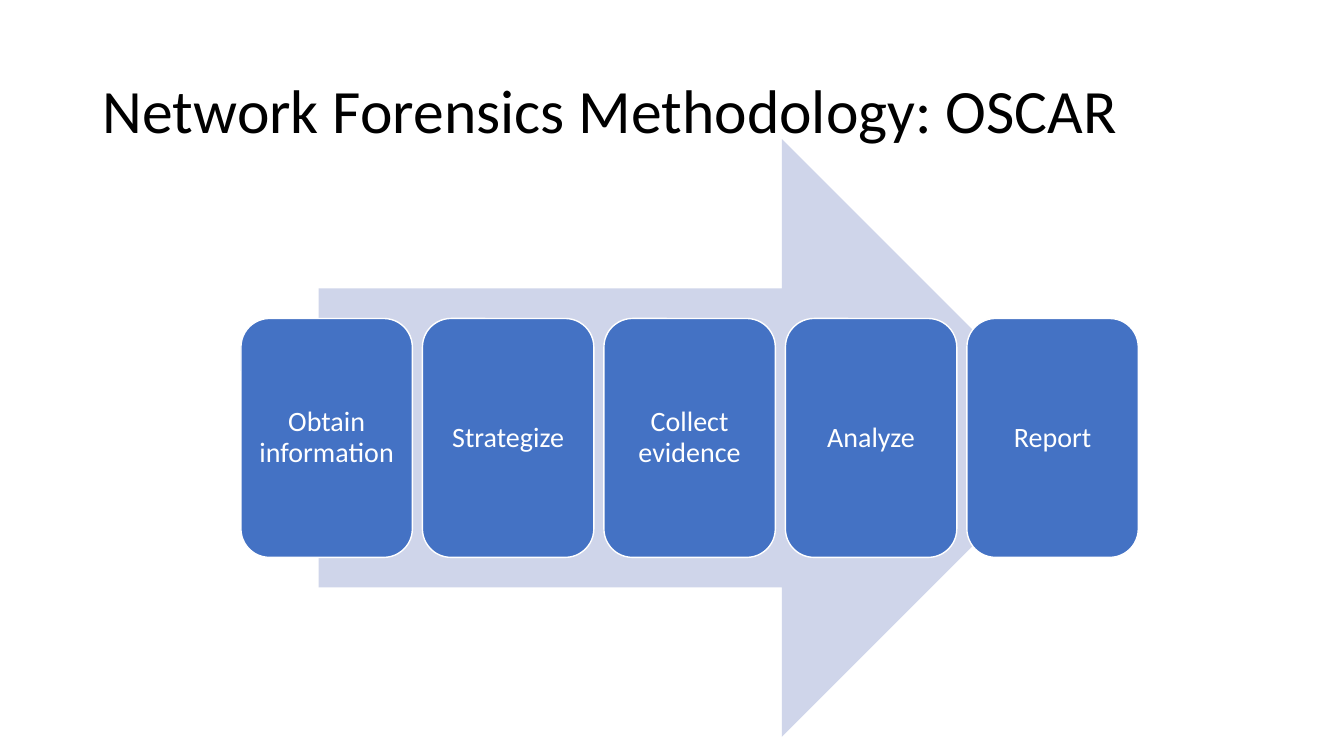
"""Build a slide showing the five OSCAR steps on a wide arrow."""
from pptx import Presentation
from pptx.dml.color import RGBColor
from pptx.enum.shapes import MSO_SHAPE
from pptx.enum.text import MSO_ANCHOR, PP_ALIGN
from pptx.util import Inches, Pt


def color(code):
    return RGBColor.from_string(code)


def write(shape, text, size=20, ink="FFFFFF", align=PP_ALIGN.CENTER, inset=0.08):
    frame = shape.text_frame
    frame.word_wrap = True
    frame.vertical_anchor = MSO_ANCHOR.MIDDLE
    frame.margin_left = frame.margin_right = Inches(inset)
    frame.margin_top = frame.margin_bottom = Inches(0.08)
    line = frame.paragraphs[0]
    line.alignment = align
    line.line_spacing = 0.9
    run = line.add_run()
    run.text = text
    run.font.name = "Calibri"
    run.font.size = Pt(size)
    run.font.color.rgb = color(ink)


deck = Presentation()
deck.slide_width, deck.slide_height = Inches(13.33), Inches(7.5)
slide = deck.slides.add_slide(deck.slide_layouts[5])
shapes = slide.shapes

title = shapes.title
title.left, title.top = Inches(0.92), Inches(0.4)
title.width, title.height = Inches(11.5), Inches(1.45)
write(title, "Network Forensics Methodology: OSCAR", size=44, ink="000000",
      align=PP_ALIGN.LEFT, inset=0.1)

arrow = shapes.add_shape(MSO_SHAPE.RIGHT_ARROW, Inches(3.16), Inches(1.38),
                         Inches(7.56), Inches(5.93))
arrow.shadow.inherit = False
arrow.fill.solid()
arrow.fill.fore_color.rgb = color("CFD5EA")
arrow.line.fill.background()

left, top, width, height, pitch = 2.39, 3.16, 1.7, 2.37, 1.8
steps = ["Obtain information", "Strategize", "Collect evidence", "Analyze", "Report"]
for col, step in enumerate(steps):
    card = shapes.add_shape(MSO_SHAPE.ROUNDED_RECTANGLE, Inches(left + col * pitch),
                            Inches(top), Inches(width), Inches(height))
    card.shadow.inherit = False
    card.fill.solid()
    card.fill.fore_color.rgb = color("4472C4")
    card.line.color.rgb = color("FFFFFF")
    card.line.width = Pt(1)
    write(card, step)

deck.save("out.pptx")
